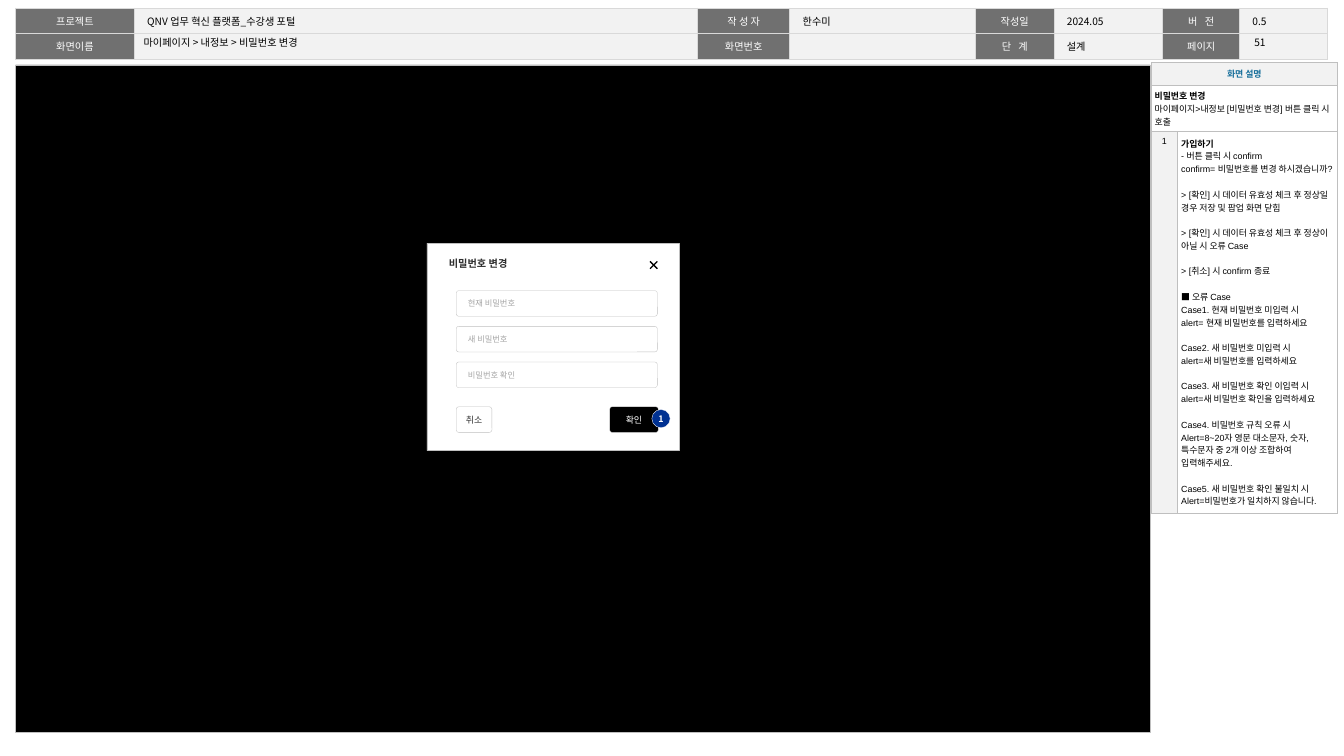
from dataclasses import dataclass
from typing import Optional, Sequence

from lxml.etree import SubElement
from pptx import Presentation
from pptx.dml.color import RGBColor
from pptx.enum.shapes import MSO_CONNECTOR, MSO_SHAPE
from pptx.enum.text import MSO_ANCHOR as ANCHOR, PP_ALIGN as ALIGN
from pptx.oxml.ns import qn
from pptx.util import Inches, Pt

NOTO, ARIAL = "Noto Sans CJK KR", "Arial"
BLACK = RGBColor(0x00, 0x00, 0x00)
WHITE = RGBColor(0xFF, 0xFF, 0xFF)
INK = RGBColor(0x2E, 0x2E, 0x2E)
LABEL = RGBColor(0x70, 0x70, 0x70)
PALE = RGBColor(0xF2, 0xF2, 0xF2)
RULE = RGBColor(0xD9, 0xD9, 0xD9)
EDGE = RGBColor(0xBF, 0xBF, 0xBF)
HINT = RGBColor(0xA6, 0xA6, 0xA6)
TEAL = RGBColor(0x17, 0x6F, 0x9B)
NAVY = RGBColor(0x00, 0x31, 0x92)


@dataclass
class Para:
    text: str
    bold: bool = False
    gap: float = 0


@dataclass
class Box:
    text: str
    at: tuple[float, float, float, float]
    fill: RGBColor = WHITE
    color: RGBColor = INK
    line: RGBColor = EDGE
    width: float = 0.25
    size: float = 7
    font: str = ARIAL
    bold: bool = False
    align: ALIGN = ALIGN.CENTER
    anchor: ANCHOR = ANCHOR.MIDDLE
    ins: tuple[float, float, float, float] = (0.04, 0, 0.04, 0)
    wrap: bool = False
    kind: MSO_SHAPE = MSO_SHAPE.ROUNDED_RECTANGLE


def write(tf, paras: Sequence[Para], *, size: float, font: str = NOTO, color: RGBColor = BLACK,
          align: ALIGN = ALIGN.LEFT, leading: Optional[float] = None, tracking: float = 0) -> None:
    for i, para in enumerate(paras):
        p = tf.paragraphs[0] if i == 0 else tf.add_paragraph()
        p.alignment = align
        if leading:
            p.line_spacing = leading
        if para.gap:
            p.space_before = Pt(para.gap)
        if not para.text:
            p._p.get_or_add_endParaRPr().set("sz", str(int(size * 100)))
            continue
        r = p.add_run()
        r.text = para.text
        r.font.size, r.font.bold, r.font.name = Pt(size), para.bold, font
        r.font.color.rgb = color
        rpr = r._r.get_or_add_rPr()
        SubElement(rpr, qn("a:ea")).set("typeface", NOTO)
        if tracking:
            rpr.set("spc", str(int(tracking * 100)))


def set_frame(tf, ins: Sequence[float], anchor: ANCHOR, wrap: bool = True) -> None:
    tf.margin_left, tf.margin_top, tf.margin_right, tf.margin_bottom = map(Inches, ins)
    tf.vertical_anchor, tf.word_wrap = anchor, wrap


def add_box(s, box: Box) -> None:
    sp = s.shapes.add_shape(box.kind, *map(Inches, box.at))
    sp.shadow.inherit = False
    sp.fill.solid()
    sp.fill.fore_color.rgb = box.fill
    sp.line.color.rgb, sp.line.width = box.line, Pt(box.width)
    if box.kind == MSO_SHAPE.ROUNDED_RECTANGLE:
        sp.adjustments[0] = 0.1
    if box.text:
        set_frame(sp.text_frame, box.ins, box.anchor, box.wrap)
        write(sp.text_frame, [Para(box.text, box.bold)], size=box.size, font=box.font,
              color=box.color, align=box.align)


def add_line(s, x1: float, y1: float, x2: float, y2: float) -> None:
    line = s.shapes.add_connector(MSO_CONNECTOR.STRAIGHT, *map(Inches, (x1, y1, x2, y2)))
    line.line.color.rgb, line.line.width = BLACK, Pt(1)
    SubElement(line._element.spPr, qn("a:effectLst"))


def add_grid(s, x: float, y: float, cols: Sequence[float], rows: Sequence[float]):
    frame = s.shapes.add_table(len(rows), len(cols), *map(Inches, (x, y, sum(cols), sum(rows))))
    table = frame.table
    table.first_row = table.horz_banding = False
    for column, width in zip(table.columns, cols):
        column.width = Inches(width)
    for row, height in zip(table.rows, rows):
        row.height = Inches(height)
    return table


def set_cell(cell, paras: Sequence[Para], *, fill: RGBColor, border: RGBColor, width: float,
             side: float, anchor: ANCHOR = ANCHOR.TOP, **text) -> None:
    cell.margin_left = cell.margin_right = Inches(side)
    cell.margin_top = cell.margin_bottom = Inches(0.05)
    cell.vertical_anchor = anchor
    write(cell.text_frame, paras, **text)
    tc_pr = cell._tc.get_or_add_tcPr()
    for edge in ("lnL", "lnR", "lnT", "lnB"):
        ln = SubElement(tc_pr, qn(f"a:{edge}"), w=str(Pt(width)))
        SubElement(SubElement(ln, qn("a:solidFill")), qn("a:srgbClr"), val=str(border))
    cell.fill.solid()
    cell.fill.fore_color.rgb = fill


HEADER = [
    ["프로젝트", "QNV 업무 혁신 플랫폼_수강생 포털", "작 성 자", "한수미",
     "작성일", "2024.05", "버 전", "0.5"],
    ["화면이름", "", "화면번호", "", "단 계", "설계", "페이지", ""],
]
SPREAD = ("버 전", "단 계")
SUMMARY = [Para("비밀번호 변경", True), Para("마이페이지>내정보 [비밀번호 변경] 버튼 클릭 시 호출")]
GAP = 10
DETAILS = [
    Para("가입하기", True),
    Para("- 버튼 클릭 시 confirm"),
    Para("confirm= 비밀번호를 변경 하시겠습니까?"),
    Para("> [확인] 시 데이터 유효성 체크 후 정상일 경우 저장 및 팝업 화면 닫힘", gap=GAP),
    Para("> [확인] 시 데이터 유효성 체크 후 정상이 아닐 시 오류 Case", gap=GAP),
    Para("> [취소] 시 confirm 종료", gap=GAP),
    Para("■ 오류 Case", gap=GAP),
    Para("Case1. 현재 비밀번호 미입력 시"),
    Para("alert= 현재 비밀번호를 입력하세요"),
    Para("Case2. 새 비밀번호 미입력 시", gap=GAP),
    Para("alert=새 비밀번호를 입력하세요"),
    Para("Case3. 새 비밀번호 확인 이입력 시", gap=GAP),
    Para("alert=새 비밀번호 확인을 입력하세요"),
    Para("Case4. 비밀번호 규칙 오류 시", gap=GAP),
    Para("Alert=8~20자 영문 대소문자, 숫자, 특수문자 중 2개 이상 조합하여 입력해주세요."),
    Para("Case5. 새 비밀번호 확인 불일치 시", gap=GAP),
    Para("Alert=비밀번호가 일치하지 않습니다."),
]
FIELDS = ["현재 비밀번호", "새 비밀번호", "비밀번호 확인"]


def add_header(s) -> None:
    table = add_grid(s, 0.17, 0.09, [1.3, 6.16, 1.01, 2.03, 0.86, 1.19, 0.84, 0.96], [0.28, 0.28])
    for i, row in enumerate(HEADER):
        for j, text in enumerate(row):
            label = j % 2 == 0
            set_cell(table.cell(i, j), [Para(text)], fill=LABEL if label else PALE,
                     border=RULE, width=1, side=0.14, size=8, leading=1.05,
                     color=WHITE if label else BLACK, align=ALIGN.CENTER if label else ALIGN.LEFT,
                     tracking=2 if text in SPREAD else 0)
    # Screen path and page number lie over the empty cells
    title = s.shapes.title
    s.shapes._spTree.append(title._element)
    title.left, title.top, title.width, title.height = map(Inches, (1.47, 0.38, 5.91, 0.16))
    page = s.shapes.add_textbox(*map(Inches, (13.62, 0.38, 0.72, 0.16)))
    for sp, text in ((title, "마이페이지 > 내정보 > 비밀번호 변경"), (page, "51")):
        set_frame(sp.text_frame, (0.1, 0.05, 0.1, 0.05), ANCHOR.MIDDLE)
        write(sp.text_frame, [Para(text)], size=8)


def add_dialog(s) -> None:
    add_box(s, Box("비밀번호 변경", (4.67, 2.66, 2.76, 2.27), width=0.5, size=8, font=NOTO,
                   bold=True, align=ALIGN.LEFT, anchor=ANCHOR.TOP, ins=(0.24, 0.16, 0.16, 0.05),
                   kind=MSO_SHAPE.RECTANGLE))
    add_line(s, 7.11, 2.86, 7.19, 2.94)
    add_line(s, 7.19, 2.86, 7.11, 2.94)
    for i, hint in enumerate(FIELDS):
        add_box(s, Box(hint, (4.99, 3.18 + 0.39 * i, 2.2, 0.28), color=HINT, size=6.5,
                       align=ALIGN.LEFT, ins=(0.12, 0, 0.08, 0), wrap=True))
    add_box(s, Box("취소", (4.99, 4.45, 0.39, 0.28)))
    add_box(s, Box("확인", (6.67, 4.45, 0.53, 0.28), fill=BLACK, color=WHITE))
    add_box(s, Box("1", (7.13, 4.48, 0.2, 0.2), fill=NAVY, color=WHITE, line=WHITE, font=NOTO,
                   bold=True, ins=(0, 0, 0, 0), kind=MSO_SHAPE.OVAL))


def add_description(s) -> None:
    table = add_grid(s, 12.59, 0.68, [0.29, 1.75], [0.25, 0.51, 4.17])
    for i in (0, 1):
        table.cell(i, 0).merge(table.cell(i, 1))
    style = dict(border=EDGE, width=0.25, side=0.04, size=7)
    set_cell(table.cell(0, 0), [Para("화면 설명", True)], fill=PALE, color=TEAL,
             align=ALIGN.CENTER, anchor=ANCHOR.MIDDLE, **style)
    set_cell(table.cell(1, 0), SUMMARY, fill=WHITE, font=ARIAL, **style)
    set_cell(table.cell(2, 0), [Para("1")], fill=PALE, font=ARIAL, align=ALIGN.CENTER, **style)
    set_cell(table.cell(2, 1), DETAILS, fill=WHITE, font=ARIAL, anchor=ANCHOR.MIDDLE, **style)
    for i in (0, 1):
        set_cell(table.cell(i, 1), [Para("")], fill=WHITE, **style)


def main() -> None:
    prs = Presentation()
    prs.slide_width, prs.slide_height = Inches(14.7), Inches(8.27)
    s = prs.slides.add_slide(prs.slide_layouts[5])
    add_header(s)
    # Dimmed screen behind the dialog
    add_box(s, Box("", (0.17, 0.71, 12.41, 7.3), fill=BLACK, width=0.5, kind=MSO_SHAPE.RECTANGLE))
    add_dialog(s)
    add_description(s)
    prs.save("out.pptx")


if __name__ == "__main__":
    main()
